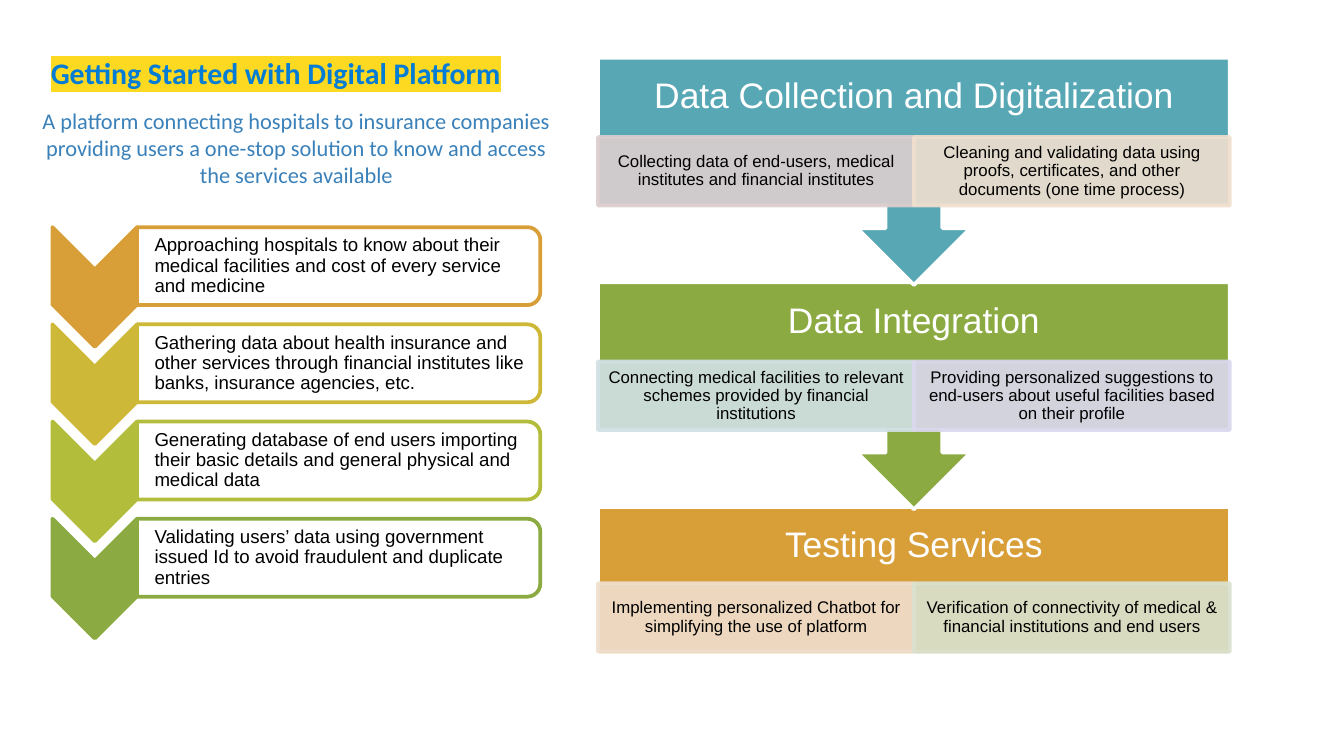
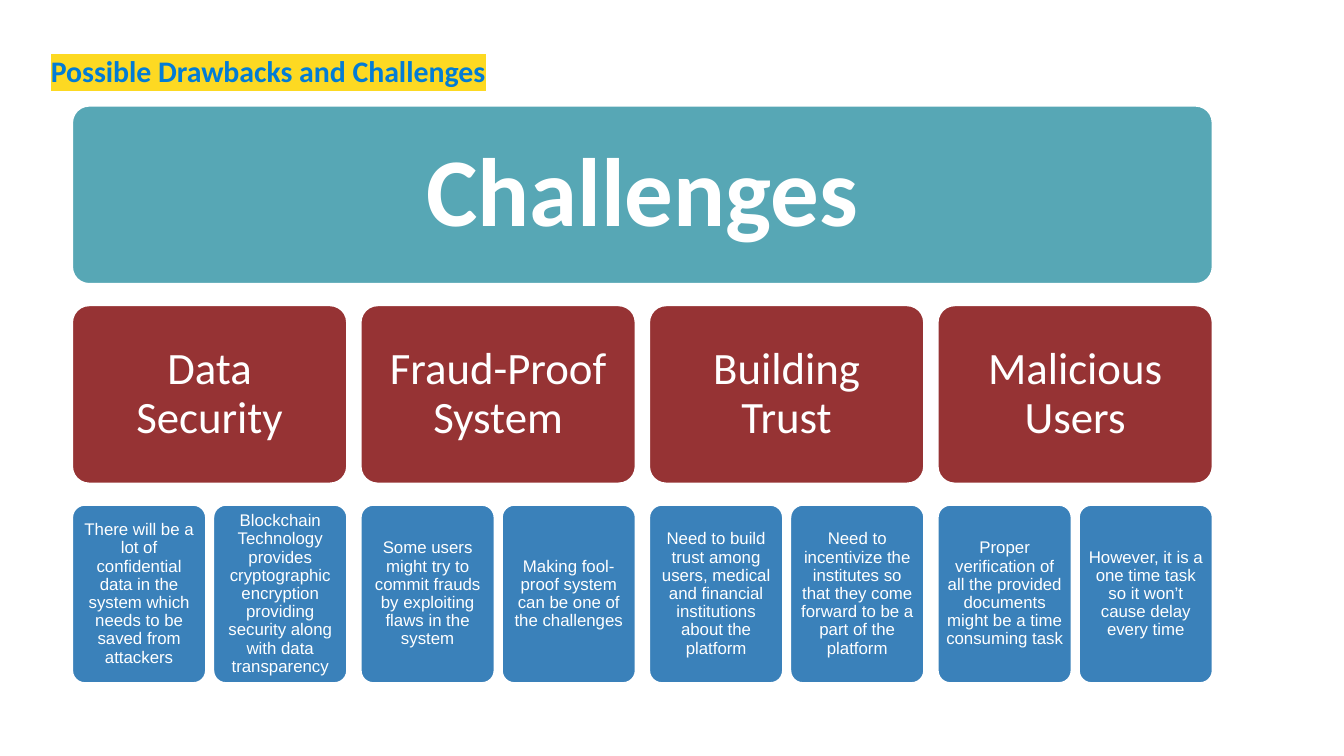
from dataclasses import dataclass

from lxml.etree import SubElement
from pptx import Presentation
from pptx.dml.color import RGBColor
from pptx.enum.shapes import MSO_SHAPE as Shape
from pptx.enum.text import MSO_ANCHOR as Anchor, PP_ALIGN as Align
from pptx.oxml.ns import qn
from pptx.util import Inches, Pt


@dataclass(frozen=True)
class Theme:
    """Colours, fonts and type sizes shared by the slides."""
    white: str = "FFFFFF"
    black: str = "000000"
    title: str = "027CD5"
    highlight: str = "FDD922"
    blue: str = "3A81BA"
    teal: str = "57A7B5"
    green: str = "8BAB42"
    lime: str = "B2BD3C"
    gold: str = "CDB838"
    orange: str = "D89F39"
    red: str = "963334"
    rose: str = "DDCECE"
    sand: str = "F0DFCE"
    mist: str = "D1E1E5"
    lilac: str = "DAD8EE"
    sage: str = "DAE2CF"
    heading_font: str = "Calibri"
    body_font: str = "Arial"
    title_size: int = 16
    intro_size: int = 12
    stage_size: int = 19
    step_size: int = 10
    detail_size: int = 9
    banner_size: int = 52
    challenge_size: int = 24
    line_width: int = 2
    opacity: int = 90


@dataclass(frozen=True)
class Box:
    """A rectangle in inches."""
    left: float
    top: float
    width: float
    height: float

    def inner(self, left, top, width, height):
        """Return a box placed relative to this one."""
        return Box(self.left + left, self.top + top, width, height)

    def lengths(self):
        """Return the four lengths for a python-pptx call."""
        return [Inches(v) for v in (self.left, self.top, self.width, self.height)]


THEME = Theme()

STAGES = [
    ("Data Collection and Digitalization", THEME.teal, Shape.UP_ARROW_CALLOUT, 1.69, 0.59, [
        ("Collecting data of end-users, medical institutes and financial institutes", THEME.rose),
        ("Cleaning and validating data using proofs, certificates, and other documents "
         "(one time process)", THEME.sand)]),
    ("Data Integration", THEME.green, Shape.UP_ARROW_CALLOUT, 1.69, 0.59, [
        ("Connecting medical facilities to relevant schemes provided by financial institutions",
         THEME.mist),
        ("Providing personalized suggestions to end-users about useful facilities based on "
         "their profile", THEME.lilac)]),
    ("Testing Services", THEME.orange, Shape.RECTANGLE, 1.1, 0.57, [
        ("Implementing personalized Chatbot for simplifying the use of platform", THEME.sand),
        ("Verification of connectivity of medical & financial institutions and end users",
         THEME.sage)]),
]

STEPS = [
    ("Approaching hospitals to know about their medical facilities and cost of every service "
     "and medicine", THEME.orange),
    ("Gathering data about health insurance and other services through financial institutes "
     "like banks, insurance agencies, etc.", THEME.gold),
    ("Generating database of end users importing their basic details and general physical and "
     "medical data", THEME.lime),
    ("Validating users’ data using government issued Id to avoid fraudulent and duplicate "
     "entries", THEME.green),
]

CHALLENGES = [
    ("Data Security", [
        "There will be a lot of confidential data in the system which needs to be saved from "
        "attackers",
        "Blockchain Technology provides cryptographic encryption providing security along with "
        "data transparency"]),
    ("Fraud-Proof System", [
        "Some users might try to commit frauds by exploiting flaws in the system",
        "Making fool-proof system can be one of the challenges"]),
    ("Building Trust", [
        "Need to build trust among users, medical and financial institutions about the platform",
        "Need to incentivize the institutes so that they come forward to be a part of the "
        "platform"]),
    ("Malicious Users", [
        "Proper verification of all the provided documents might be a time consuming task",
        "However, it is a one time task so it won’t cause delay every time"]),
]


def apply(target, formats):
    """Set each attribute named in formats on target."""
    for name, value in formats.items():
        setattr(target, name, value)


def set_opacity(colour_format, percent):
    """Make the solid colour below colour_format partly transparent."""
    colour = next(colour_format.iter(qn("a:srgbClr")))
    SubElement(colour, qn("a:alpha"), val=str(percent * 1000))


def write(holder, text, size, colour, font=THEME.body_font, bold=False, insets=(0.1, 0.05),
          anchor=Anchor.MIDDLE, align=Align.CENTER, spacing=0.9):
    """Write one formatted paragraph into holder and return its run."""
    across, down = (Inches(v) for v in insets)
    apply(holder.text_frame, {
        "word_wrap": True, "vertical_anchor": anchor,
        "margin_left": across, "margin_right": across,
        "margin_top": down, "margin_bottom": down})
    paragraph = holder.text_frame.paragraphs[0]
    apply(paragraph, {"alignment": align, "line_spacing": spacing})
    run = paragraph.add_run()
    run.text = text
    apply(run.font, {"size": Pt(size), "name": font, "bold": bold})
    run.font.color.rgb = RGBColor.from_string(colour)
    return run


def add_panel(slide, kind, box, fill, line=THEME.white, rotation=0, fill_opacity=100,
              line_opacity=100):
    """Add a filled shape that covers box after its rotation."""
    if rotation == 90:
        shift = (box.width - box.height) / 2
        box = box.inner(shift, -shift, box.height, box.width)
    panel = slide.shapes.add_shape(kind, *box.lengths())
    panel.shadow.inherit = False
    panel.rotation = rotation
    panel.fill.solid()
    panel.fill.fore_color.rgb = RGBColor.from_string(fill)
    panel.line.color.rgb = RGBColor.from_string(line)
    panel.line.width = Pt(THEME.line_width)
    properties = panel.fill._xPr
    for part, opacity in ((properties.find(qn("a:solidFill")), fill_opacity),
                          (properties.find(qn("a:ln")), line_opacity)):
        if opacity < 100:
            set_opacity(part, opacity)
    return panel


def add_title(slide, box, text):
    """Add the highlighted slide title."""
    title = slide.shapes.add_textbox(*box.lengths())
    run = write(title, text, THEME.title_size, THEME.title, THEME.heading_font, True,
                (0.1, 0.1), Anchor.BOTTOM, Align.LEFT, 1.0)
    apply(title.text_frame.paragraphs[0], {"space_before": Pt(6), "space_after": Pt(10)})
    fill = run.font._element.find(qn("a:solidFill"))
    mark = SubElement(run.font._element, qn("a:highlight"))
    SubElement(mark, qn("a:srgbClr"), val=THEME.highlight)
    fill.addnext(mark)


def add_intro(slide, box, text):
    """Add the introductory sentence."""
    intro = slide.shapes.add_textbox(*box.lengths())
    write(intro, text, THEME.intro_size, THEME.blue, THEME.heading_font,
          anchor=Anchor.TOP, spacing=1.0)


def add_steps(slide, box):
    """Add the column of chevrons with their step descriptions."""
    chevron_height = 0.89
    pitch = (box.height - chevron_height) / (len(STEPS) - 1)
    for index, (text, colour) in enumerate(STEPS):
        row = box.inner(0, index * pitch, box.width, pitch)
        add_panel(slide, Shape.CHEVRON, row.inner(0, 0, 0.63, chevron_height),
                  colour, colour, 90)
        add_panel(slide, Shape.ROUND_2_SAME_RECTANGLE,
                  row.inner(0.63, 0, box.width - 0.63, 0.58), THEME.white, colour, 90,
                  fill_opacity=THEME.opacity)
        step = slide.shapes.add_textbox(*row.inner(0.62, 0.03, 2.97, 0.52).lengths())
        write(step, text, THEME.step_size, THEME.black, insets=(0.01, 0.01), align=Align.LEFT)
        step.text_frame.margin_left = Inches(0.14)


def add_stages(slide, box):
    """Add the stages, last one first so that each arrow lies on top."""
    pitch = 1.67
    for index, (name, colour, kind, height, split, details) in reversed(
            list(enumerate(STAGES))):
        stage = box.inner(0, index * pitch, box.width, height)
        turn = 180 if kind == Shape.UP_ARROW_CALLOUT else 0
        add_panel(slide, kind, stage, colour, rotation=turn)
        header = slide.shapes.add_textbox(*stage.inner(0, 0, box.width, 0.59).lengths())
        write(header, name, THEME.stage_size, THEME.white, insets=(0.15, 0.15))
        width = box.width / len(details)
        for column, (text, tint) in enumerate(details):
            detail = add_panel(slide, Shape.RECTANGLE,
                               stage.inner(column * width, split, width, 0.51), tint, tint,
                               fill_opacity=THEME.opacity, line_opacity=THEME.opacity)
            write(detail, text, THEME.detail_size, THEME.black, insets=(0.07, 0.01))


def add_card(slide, box, fill, text, size, inset, font=THEME.body_font, bold=False):
    """Add a rounded card with centred white text."""
    card = add_panel(slide, Shape.ROUNDED_RECTANGLE, box, fill)
    card.adjustments[0] = 0.1
    write(card, text, size, THEME.white, font, bold, (inset, inset))


def add_challenges(slide, box):
    """Add the banner, the challenges below it and their details."""
    height, width, detail_width = 1.34, 2.06, 1.01
    row_pitch = (box.height - height) / 2
    column_pitch = (box.width - width) / (len(CHALLENGES) - 1)
    add_card(slide, box.inner(0, 0, box.width, height), THEME.teal, "Challenges",
             THEME.banner_size, 0.22, THEME.heading_font, True)
    for column, (name, details) in enumerate(CHALLENGES):
        challenge = box.inner(column * column_pitch, row_pitch, width, height)
        add_card(slide, challenge, THEME.red, name, THEME.challenge_size, 0.1,
                 THEME.heading_font)
        for index, text in enumerate(details):
            left = index * (width - detail_width)
            add_card(slide, challenge.inner(left, row_pitch, detail_width, height),
                     THEME.blue, text, THEME.detail_size, 0.04)


def build_platform_slide(slide):
    """Build the slide about starting with the platform."""
    add_title(slide, Box(0.28, 0.24, 9, 0.53), "Getting Started with Digital Platform")
    add_stages(slide, Box(4.45, 0.43, 4.7, 4.44))
    add_steps(slide, Box(0.39, 1.69, 3.63, 3.06))
    add_intro(slide, Box(0.21, 0.75, 3.99, 0.71),
              "A platform connecting hospitals to insurance companies providing users a "
              "one-stop solution to know and access the services available")


def build_challenges_slide(slide):
    """Build the slide about drawbacks and challenges."""
    add_title(slide, Box(0.28, 0.23, 9, 0.53), "Possible Drawbacks and Challenges")
    add_challenges(slide, Box(0.53, 0.78, 8.5, 4.31))


def main():
    """Build and save the widescreen presentation."""
    deck = Presentation()
    width = Inches(10)
    apply(deck, {"slide_width": width, "slide_height": width * 9 // 16})
    for build in (build_platform_slide, build_challenges_slide):
        build(deck.slides.add_slide(deck.slide_layouts[6]))
    deck.save("out.pptx")


if __name__ == "__main__":
    main()
